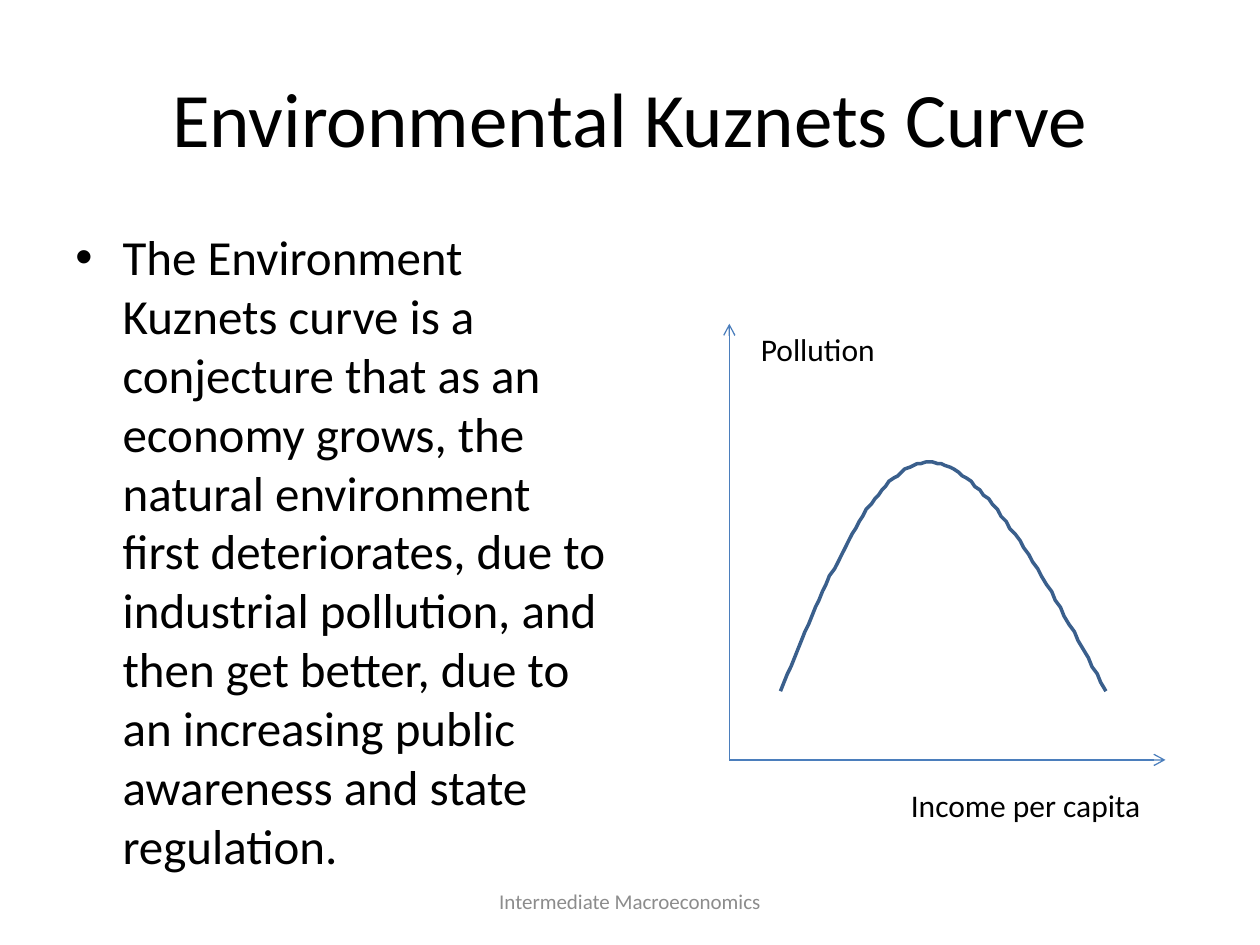
from lxml.etree import SubElement
from pptx import Presentation
from pptx.dml.color import RGBColor
from pptx.enum.shapes import MSO_CONNECTOR
from pptx.enum.text import MSO_ANCHOR, PP_ALIGN
from pptx.oxml.ns import qn
from pptx.util import Pt

COLORS = {"text": "000000", "footer": "8C8C8C", "axis": "4B7EBC", "curve": "3A5F8C"}
FONT = "Calibri"


def bezier_points(start, control_1, control_2, end, steps=40):
    """Return points along a cubic curve, without its start."""
    points = []
    for step in range(1, steps + 1):
        t = step / steps
        weights = ((1 - t) ** 3, 3 * t * (1 - t) ** 2, 3 * t ** 2 * (1 - t), t ** 3)
        corners = (start, control_1, control_2, end)
        points.append(tuple(
            sum(weight * corner[axis] for weight, corner in zip(weights, corners))
            for axis in (0, 1)))
    return points


class SlideBuilder:
    def __init__(self, slide):
        self.slide = slide

    def set_text(self, shape, text, size, color="text", align=PP_ALIGN.LEFT,
                 anchor=MSO_ANCHOR.TOP):
        frame = shape.text_frame
        frame.word_wrap = True
        frame.vertical_anchor = anchor
        frame.text = text
        paragraph = frame.paragraphs[0]
        paragraph.alignment = align
        font = paragraph.runs[0].font
        font.name = FONT
        font.size = Pt(size)
        font.color.rgb = RGBColor.from_string(COLORS[color])
        return paragraph

    def title(self, text, left, top, width, height):
        shape = self.slide.shapes.title
        shape.left, shape.top = Pt(left), Pt(top)
        shape.width, shape.height = Pt(width), Pt(height)
        self.set_text(shape, text, 44, align=PP_ALIGN.CENTER, anchor=MSO_ANCHOR.MIDDLE)

    def text(self, text, left, top, width, height, size, **style):
        box = self.slide.shapes.add_textbox(Pt(left), Pt(top), Pt(width), Pt(height))
        return self.set_text(box, text, size, **style)

    def bullet(self, text, left, top, width, height, size, indent=27):
        paragraph = self.text(text, left, top, width, height, size)
        paragraph.space_before = Pt(0.2 * size)
        properties = paragraph._p.get_or_add_pPr()
        properties.set("marL", str(Pt(indent)))
        properties.set("indent", str(-Pt(indent)))
        SubElement(properties, qn("a:buFont")).set("typeface", "Arial")
        SubElement(properties, qn("a:buChar")).set("char", "•")

    def arrow(self, start, end, color="axis", width=0.75):
        connector = self.slide.shapes.add_connector(
            MSO_CONNECTOR.STRAIGHT, *(Pt(value) for value in (*start, *end)))
        connector.line.color.rgb = RGBColor.from_string(COLORS[color])
        connector.line.width = Pt(width)
        SubElement(connector.line._get_or_add_ln(), qn("a:tailEnd")).set("type", "arrow")
        SubElement(connector._element.spPr, qn("a:effectLst"))

    def curve(self, start, *segments, color="curve", width=2):
        """Draw an open curve; each segment holds two controls and an end."""
        builder = self.slide.shapes.build_freeform(*start, scale=Pt(1))
        for segment in segments:
            builder.add_line_segments(bezier_points(start, *segment), close=False)
            start = segment[-1]
        shape = builder.convert_to_shape()
        shape.shadow.inherit = False
        shape.fill.background()
        shape.line.color.rgb = RGBColor.from_string(COLORS[color])
        shape.line.width = Pt(width)


def main():
    presentation = Presentation()
    presentation.slide_width, presentation.slide_height = Pt(720), Pt(540)
    builder = SlideBuilder(presentation.slides.add_slide(presentation.slide_layouts[5]))

    builder.title("Environmental Kuznets Curve", 36, 21.6, 648, 90)
    builder.bullet(
        "The Environment Kuznets curve is a conjecture that as an economy grows, "
        "the natural environment first deteriorates, due to industrial pollution, "
        "and then get better, due to an increasing public awareness and state "
        "regulation.", 36, 126, 318, 356.4, 28)
    builder.text("Intermediate Macroeconomics", 246, 500.5, 228, 28.75, 12,
                 color="footer", align=PP_ALIGN.CENTER, anchor=MSO_ANCHOR.MIDDLE)

    origin = (416.75, 434.25)
    builder.arrow(origin, (666, origin[1]))
    builder.arrow(origin, (origin[0], 185))
    builder.curve((445.7, 395.3),
                  ((473, 329.8), (500, 264.2), (531, 264.2)),
                  ((562, 264.2), (597, 329.8), (632, 395.3)))
    builder.text("Income per capita", 513.4, 445.7, 181.4, 29, 18)
    builder.text("Pollution", 427.7, 185, 141.8, 29, 18)

    presentation.save("out.pptx")


if __name__ == "__main__":
    main()
